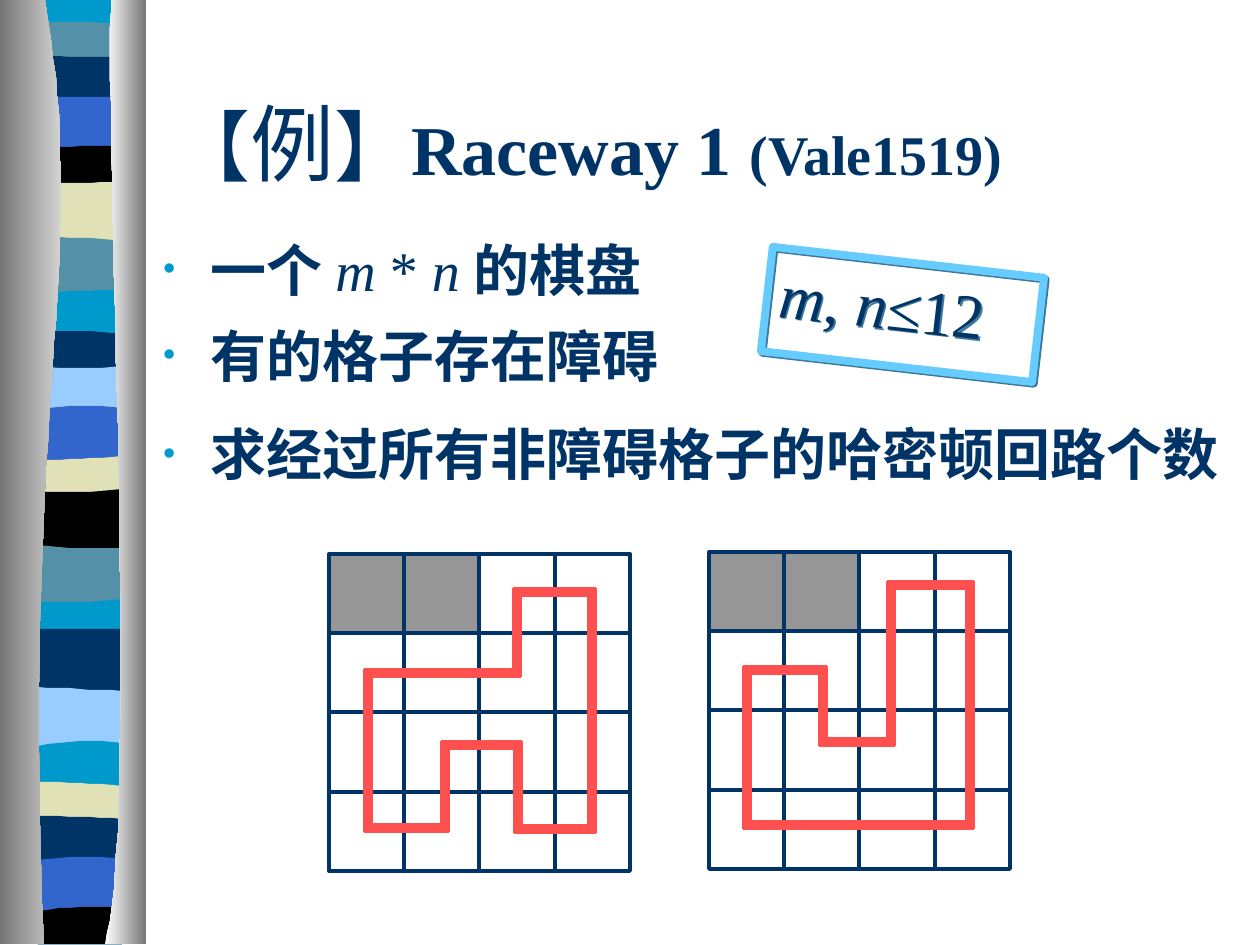
"""Build the slide that introduces the Hamiltonian circuit counting example."""
from itertools import product
from lxml import etree
from pptx import Presentation
from pptx.dml.color import RGBColor
from pptx.enum.shapes import MSO_CONNECTOR, MSO_SHAPE
from pptx.enum.text import MSO_ANCHOR, PP_ALIGN
from pptx.oxml import parse_xml
from pptx.oxml.ns import nsdecls, qn
from pptx.util import Pt

PX = 914400 / 126
THEME = {
    "ink": "003366", "route": "FF5050", "blocked": "969696", "frame": "66CCFF",
    "frame_shadow": "3C7998", "bullet": "0099CC", "panel_dark": "767676",
    "panel_mid": "D3D3D3", "panel_light": "FFFFFF",
    "latin": "Times New Roman", "cjk": "Noto Sans CJK SC",
    "bracket": 44, "label": 48, "title": 40, "source": 32, "body": 32, "limit": 36,
}


def outline(points):
    builder = slide.shapes.build_freeform(*points[0], scale=PX)
    builder.add_line_segments(points[1:], close=True)
    shape = builder.convert_to_shape()
    shape.shadow.inherit = False
    shape.line.fill.background()
    return shape


def write(frame, runs, anchor=MSO_ANCHOR.TOP, before=0, spacing=None):
    settings = {"word_wrap": True, "vertical_anchor": anchor}
    for name, value in settings.items():
        setattr(frame, name, value)
    paragraph = frame.paragraphs[0]
    layout = {"alignment": PP_ALIGN.LEFT, "space_before": Pt(before), "line_spacing": spacing}
    for name, value in layout.items():
        setattr(paragraph, name, value)
    for text, size, style, face in runs:
        run = paragraph.add_run()
        run.text = text
        look = {"size": Pt(THEME[size]), "name": THEME[face],
                "bold": style == "bold", "italic": style == "italic"}
        for name, value in look.items():
            setattr(run.font, name, value)
        run.font.color.rgb = RGBColor.from_string(THEME["ink"])
        etree.SubElement(run.font._element, qn("a:ea"), typeface=THEME["cjk"])
    return paragraph


deck = Presentation()
deck.slide_width, deck.slide_height = round(1260 * PX), round(945 * PX)
slide = deck.slides.add_slide(deck.slide_layouts[6])

bands = [
    ("0099CC", 0, 0, 0), ("5490A8", 22, 22, 24), ("003366", 55, 57, 57),
    ("3366CC", 98, 97, 97), ("000000", 150, 146, 147), ("E1E1B7", 182, 183, 181),
    ("5490A8", 236, 238, 240), ("0099CC", 292, 291, 290), ("003366", 331, 331, 334),
    ("99CCFF", 366, 368, 366), ("3366CC", 409, 406, 408), ("E1E1B7", 460, 459, 456),
    ("000000", 491, 492, 489), ("5490A8", 545, 548, 548), ("0099CC", 602, 602, 599),
    ("003366", 629, 629, 629), ("99CCFF", 687, 689, 691), ("0099CC", 746, 741, 743),
    ("E1E1B7", 782, 783, 786), ("003366", 816, 817, 819), ("3366CC", 860, 857, 859),
    ("000000", 911, 907, 908),
]
steps = [step / 8 for step in range(9)]
for color, left, middle, right in bands:
    crest = [(38 + 84 * t, left * (1 - t) * (1 - 2 * t) + middle * 4 * t * (1 - t)
              + right * t * (2 * t - 1)) for t in steps]
    band = outline(crest + [(122, 944), (38, 944)])
    band.fill.solid()
    band.fill.fore_color.rgb = RGBColor.from_string(color)

panels = [
    (0, [(45, 0), (91, 273), (21, 373), (44, 944)], ("panel_dark", "panel_mid")),
    (146, [(111, 0), (105, 158), (140, 815), (105, 944)], ("panel_light", "panel_dark")),
]
for outer, controls, shades in panels:
    curve = [tuple(sum(weight * point[axis] for weight, point in zip(
        ((1 - t) ** 3, 3 * t * (1 - t) ** 2, 3 * t * t * (1 - t), t ** 3), controls))
        for axis in (0, 1)) for t in (step / 40 for step in range(41))]
    panel = outline(curve + [(outer, 944), (outer, 0)])
    panel.fill.gradient()
    panel.fill.gradient_angle = 0
    for stop, shade in zip(panel.fill.gradient_stops, shades):
        stop.color.rgb = RGBColor.from_string(THEME[shade])

title = slide.shapes.add_textbox(*(round(v * PX) for v in (161, 63, 1071, 158)))
write(title.text_frame, [
    ("【", "bracket", "", "latin"), ("例", "label", "", "cjk"), ("】", "bracket", "", "latin"),
    ("Raceway 1 ", "title", "bold", "latin"), ("(Vale1519)", "source", "bold", "latin"),
], MSO_ANCHOR.MIDDLE)

boards = [
    (329, 554, [(368, 673), (517, 673), (517, 592), (592, 592), (592, 829),
                (518, 829), (518, 745), (445, 745), (445, 828), (368, 828)]),
    (709, 552, [(747, 670), (823, 670), (823, 742), (891, 742),
                (891, 585), (970, 585), (970, 825), (747, 825)]),
]
for left, top, corners in boards:
    for row, column in product(range(4), repeat=2):
        x, y = left + 301 * column / 4, top + 317 * row / 4
        cell = slide.shapes.add_shape(
            MSO_SHAPE.RECTANGLE, *(round(v * PX) for v in (x, y, 301 / 4, 317 / 4)))
        cell.shadow.inherit = False
        cell.line.color.rgb = RGBColor.from_string(THEME["ink"])
        cell.line.width = Pt(2.25)
        if row == 0 and column < 2:
            cell.fill.solid()
            cell.fill.fore_color.rgb = RGBColor.from_string(THEME["blocked"])
        else:
            cell.fill.background()
    for (x1, y1), (x2, y2) in zip(corners, corners[1:] + corners[:1]):
        dx, dy = 4 * ((x2 > x1) - (x2 < x1)), 4 * ((y2 > y1) - (y2 < y1))
        ends = (x1 - dx, y1 - dy, x2 + dx, y2 + dy)
        leg = slide.shapes.add_connector(MSO_CONNECTOR.STRAIGHT, *(round(v * PX) for v in ends))
        leg.line.color.rgb = RGBColor.from_string(THEME["route"])
        leg.line.width = Pt(6)
        etree.SubElement(leg._element.spPr, qn("a:effectLst"))

conditions = [
    (229, 588, None, [("一个 ", "bold"), ("m", "italic"), (" * ", ""),
                      ("n ", "italic"), ("的棋盘", "bold")]),
    (315, 528, None, [("有的格子存在障碍", "bold")]),
    (407, 1102, 1.1, [("求经过所有非障碍格子的哈密顿回路个数", "bold")]),
]
for top, width, spacing, words in conditions:
    condition = slide.shapes.add_textbox(*(round(v * PX) for v in (150, top, width, 105)))
    paragraph = write(condition.text_frame, [(text, "body", style, "latin") for text, style in words],
                      before=8, spacing=spacing)
    properties = paragraph._p.get_or_add_pPr()
    for name, value in {"marL": 48, "indent": -48}.items():
        properties.set(name, str(round(value * PX)))
    bullet_color = etree.SubElement(properties, qn("a:buClr"))
    etree.SubElement(bullet_color, qn("a:srgbClr"), val=THEME["bullet"])
    etree.SubElement(properties, qn("a:buSzPct"), val="70000")
    etree.SubElement(properties, qn("a:buFont"), typeface=THEME["latin"])
    etree.SubElement(properties, qn("a:buChar"), char="•")

limit = slide.shapes.add_shape(MSO_SHAPE.RECTANGLE, *(round(v * PX) for v in (766, 262, 273, 105)))
limit.rotation = 6.5
limit.fill.background()
limit.line.color.rgb = RGBColor.from_string(THEME["frame"])
limit.line.width = Pt(4.5)
limit._element.spPr.append(parse_xml(
    f'<a:effectLst {nsdecls("a")}><a:outerShdw dist="17780" dir="2700000" algn="ctr" rotWithShape="0">'
    f'<a:srgbClr val="{THEME["frame_shadow"]}"/></a:outerShdw></a:effectLst>'))
write(limit.text_frame, [
    ("m", "limit", "italic", "latin"), (", ", "limit", "", "latin"),
    ("n", "limit", "italic", "latin"), ("≤12", "limit", "", "latin"),
], before=9)

deck.save("out.pptx")
